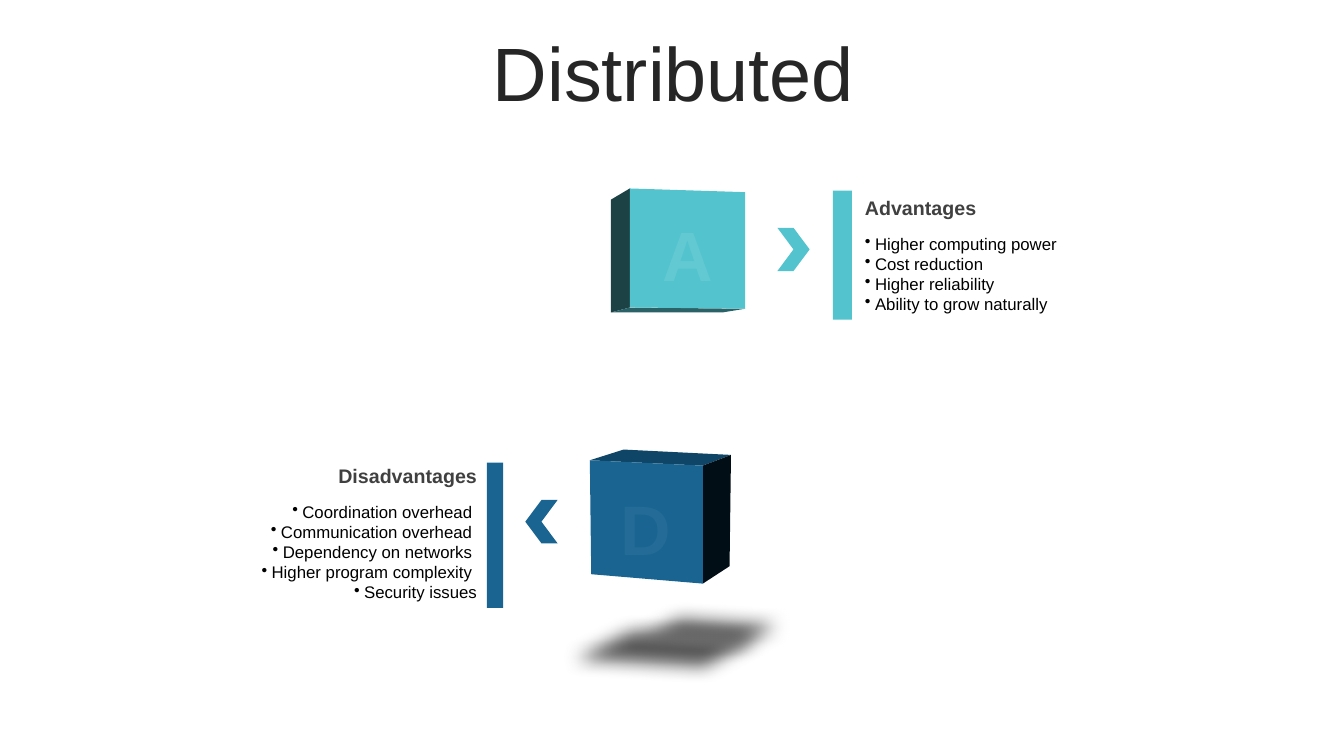
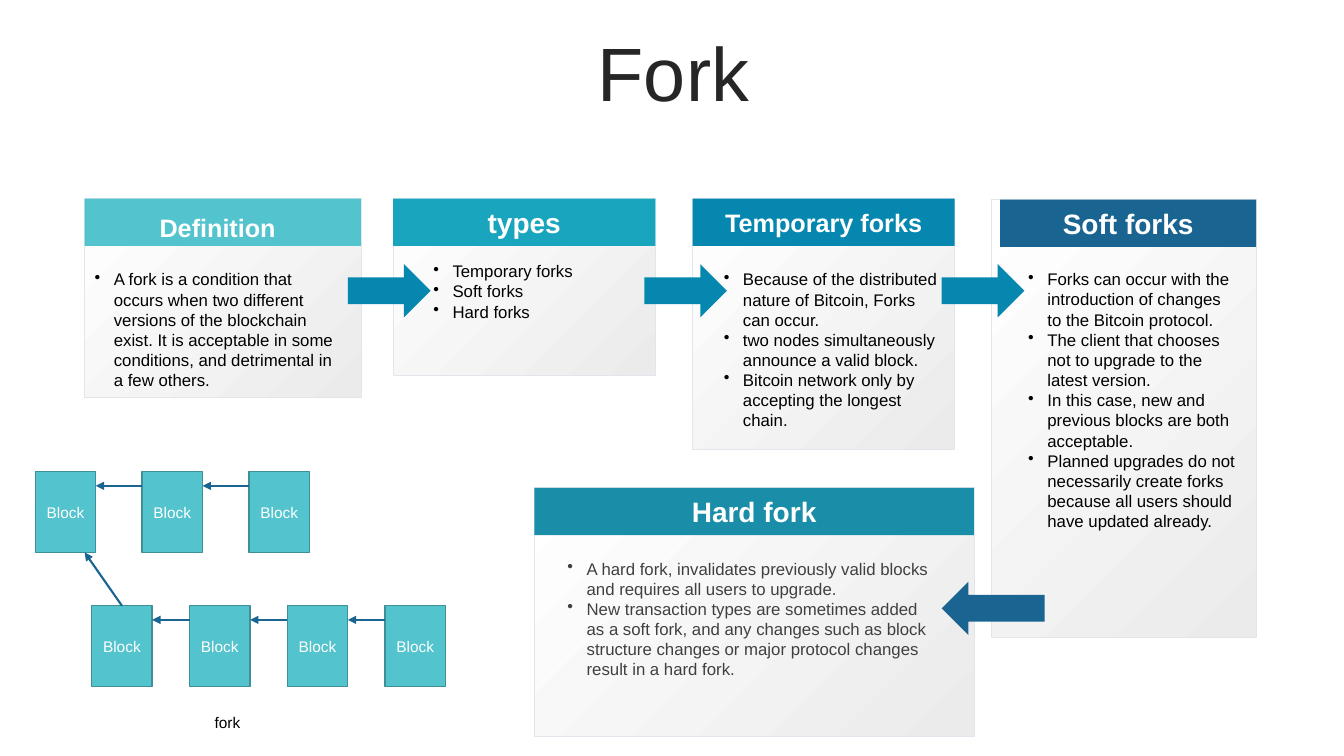
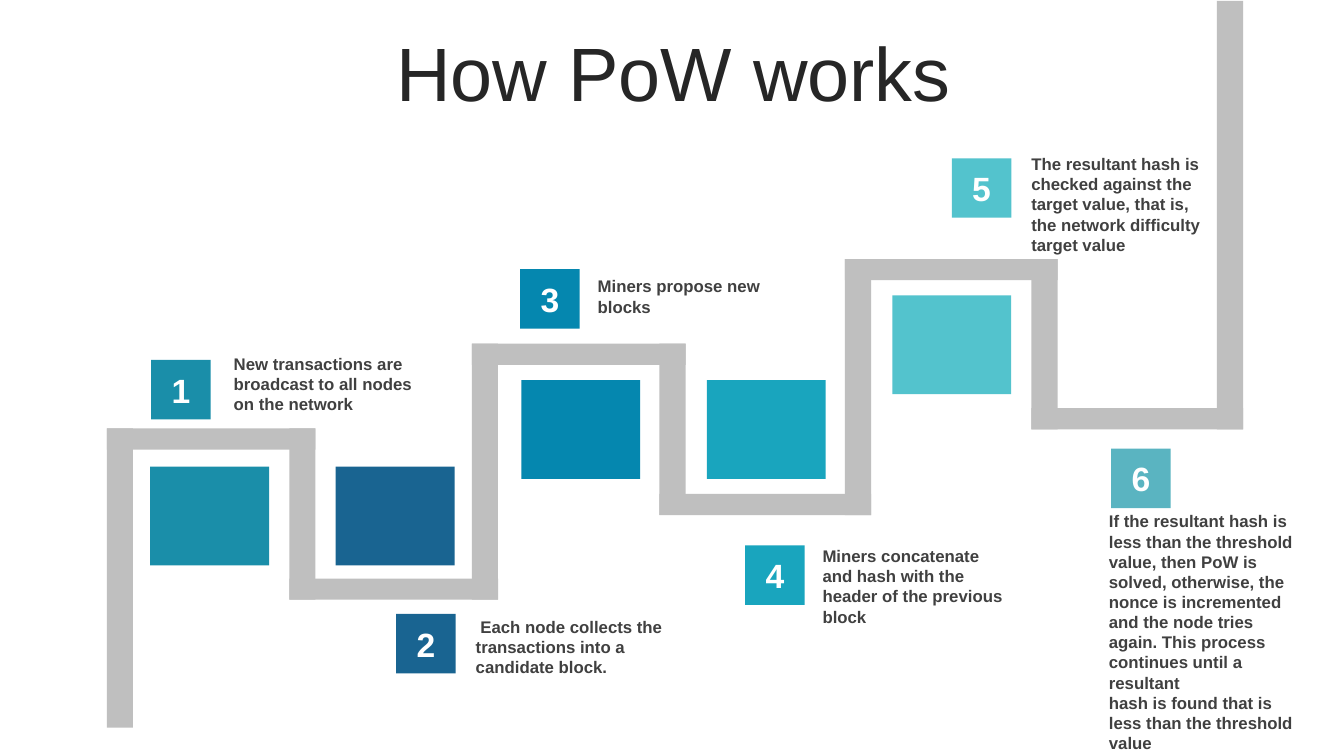
import lxml.etree
import pptx
import pptx.dml.color
import pptx.enum.shapes
import pptx.enum.text
import pptx.oxml.ns
import pptx.util

Inches = pptx.util.Inches
KIND = pptx.enum.shapes.MSO_SHAPE
ALIGN = pptx.enum.text.PP_ALIGN
ANCHOR = pptx.enum.text.MSO_ANCHOR

THEME = {
    "font": "Arial",
    "color": {
        "cyan": "53C3CD", "aqua": "19A5BE", "blue": "0587AF", "teal": "1A8EA9",
        "navy": "196491", "mist": "5AB4C1", "edge": "3D9098", "road": "BFBFBF",
        "rim": "E1E6ED", "light": "EBEBEB", "white": "FFFFFF", "shade": "595959",
        "ink": "262626", "gray": "404040", "black": "000000",
        "cyan side": "1C4245", "cyan base": "2A6268", "cyan mark": "62C9D2",
        "navy side": "020E16", "navy top": "0F4566", "navy mark": "246B97",
    },
    "text": {
        "title": (54, False, "ink"),
        "mark": (50, True, "white"),
        "digit": (24, True, "white"),
        "head": (20, True, "white"),
        "small head": (18, True, "white"),
        "label": (14, True, "gray"),
        "list": (12, False, "black"),
        "gray list": (12, False, "gray"),
        "note": (12, True, "gray"),
        "block": (11, False, "white"),
        "tag": (11, False, "black"),
    },
}


def tint(name):
    return pptx.dml.color.RGBColor.from_string(THEME["color"][name])


def put(thing, values):
    for name, value in values.items():
        setattr(thing, name, value)


def add(parent, tag, **values):
    return lxml.etree.SubElement(parent, pptx.oxml.ns.qn(tag), values)


def write(shape, lines, style, align=ALIGN.LEFT, frame=None, indent=0, color=None, space=1):
    size, bold, ink = THEME["text"][style]
    body = shape.text_frame
    put(body, {"word_wrap": True, "vertical_anchor": ANCHOR.MIDDLE, **(frame or {})})
    body.text = "\n".join(lines)
    for para in body.paragraphs:
        if indent:
            props = para._p.get_or_add_pPr()
            props.set("marL", str(Inches(indent)))
            props.set("indent", str(-Inches(indent)))
            add(props, "a:buChar", char="•")
        put(para, {"alignment": align, "line_spacing": space})
        put(para.font, {"name": THEME["font"], "size": pptx.util.Pt(size), "bold": bold})
        para.font.color.rgb = tint(color or ink)


def label(slide, box, lines, style, **format):
    write(slide.shapes.add_textbox(*map(Inches, box)), lines, style, **format)


def paint(shape, fill, line=None, width=1):
    shape.shadow.inherit = False
    shape.fill.solid()
    shape.fill.fore_color.rgb = tint(fill)
    if line:
        shape.line.color.rgb = tint(line)
        shape.line.width = pptx.util.Pt(width)
    else:
        shape.line.fill.background()
    return shape


def draw(slide, box, fill, kind=KIND.RECTANGLE, line=None, width=1):
    return paint(slide.shapes.add_shape(kind, *map(Inches, box)), fill, line, width)


def trace(slide, points, fill):
    spots = [(Inches(x), Inches(y)) for x, y in points]
    pen = slide.shapes.build_freeform(*spots[0])
    pen.add_line_segments(spots[1:], close=True)
    return paint(pen.convert_to_shape(), fill)


def arrow(slide, start, end):
    line = slide.shapes.add_connector(
        pptx.enum.shapes.MSO_CONNECTOR.STRAIGHT, *map(Inches, start + end))
    line.line.color.rgb = tint("navy")
    line.line.width = pptx.util.Pt(1.5)
    props = line._element.spPr
    add(props.find(pptx.oxml.ns.qn("a:ln")), "a:tailEnd", type="triangle")
    add(props, "a:effectLst")


def start(deck, title):
    slide = deck.slides.add_slide(deck.slide_layouts[6])
    label(slide, (0.35, 0.37, 12.66, 0.79), [title], "title", align=ALIGN.CENTER, space=0.9)
    return slide


def cube(slide, box, faces, letter, color):
    left, top, wide, high = box
    for fill, points in faces:
        face = trace(slide, [(left + x * wide, top + y * high) for x, y in points], fill)
    write(face, [letter], "mark", ALIGN.CENTER, color=color, frame={"margin_top": Inches(0.15)})


def shadow(slide, points):
    shape = trace(slide, points, "shade")
    glow = shape._element.spPr.find(pptx.oxml.ns.qn("a:effectLst"))
    add(glow, "a:softEdge", rad=str(pptx.util.Pt(12.5)))


def panel(slide, box, title, lines, align):
    left, top, wide, high = box
    label(slide, (left, top, wide, 0.34), [title], "label", align=align)
    label(slide, (left, top + 0.37, wide, high - 0.37), lines, "list", align=align, indent=0.1)


def card(slide, box, title, lines, fill, inner, style="head", inset=0, ink="list", frame=None):
    left, top, wide, high = box
    body = draw(slide, box, "white", line="rim", width=0.5)
    body.fill.gradient()
    body.fill.gradient_angle = 135
    for stop, color in zip(body.fill.gradient_stops, ("light", "white")):
        stop.color.rgb = tint(color)
    head = draw(slide, (left + inset, top, wide - inset, 0.47), fill)
    write(head, [title], style, ALIGN.CENTER, frame=frame)
    x, y, width, height = inner
    label(slide, (left + x, top + y, width, height), lines, ink, indent=0.19,
          frame={"vertical_anchor": ANCHOR.TOP})


def chain(slide, box, count, pitch):
    left, top, wide, high = box
    for i in range(count):
        x = left + i * pitch
        block = draw(slide, (x, top, wide, high), "cyan", line="edge")
        write(block, ["Block"], "block", ALIGN.CENTER)
        if i:
            arrow(slide, (x, top + 0.14), (x - pitch + wide, top + 0.14))


def road(slide, turns, levels, first, last):
    wide, thick = 0.26, 0.21
    for left, right, level in zip(turns, turns[1:], levels):
        draw(slide, (left, level, right - left + wide, thick), "road")
    stops = [first - thick, *levels, last]
    for x, one, two in zip(turns, stops, stops[1:]):
        draw(slide, (x, min(one, two), wide, abs(one - two) + thick), "road")


def step(slide, box, digit, fill, note, lines):
    write(draw(slide, box, fill), [digit], "digit", ALIGN.CENTER)
    x, y, wide, high = note
    label(slide, (box[0] + x, box[1] + y, wide, high), lines, "note")


def contrast(deck):
    slide = start(deck, "Distributed")
    shadow(slide, [(6.13, 6.07), (8.23, 6.2), (7.12, 6.8), (4.91, 6.67)])
    shadow(slide, [(6.61, 5.95), (8.45, 6.07), (7.48, 6.59), (5.54, 6.47)])
    cube(slide, (5.85, 4.46, 1.4, 1.33), [
        ("navy top", [(0, 0.08), (0.24, 0), (1, 0.04), (0.8, 0.12)]),
        ("navy side", [(0.8, 0.12), (1, 0.04), (0.99, 0.87), (0.8, 1)]),
        ("navy", [(0, 0.08), (0.8, 0.12), (0.8, 1), (0.01, 0.93)]),
    ], "D", "navy mark")
    cube(slide, (6.06, 1.87, 1.33, 1.23), [
        ("cyan side", [(0, 0.09), (0.14, 0), (0.14, 0.96), (0, 1)]),
        ("cyan base", [(0, 1), (0.14, 0.96), (1, 0.97), (0.83, 1)]),
        ("cyan", [(0.14, 0), (1, 0.03), (1, 0.97), (0.14, 0.96)]),
    ], "A", "cyan mark")
    panel(slide, (8.48, 1.89, 3.95, 1.28), "Advantages", [
        "Higher computing power", "Cost reduction", "Higher reliability",
        "Ability to grow naturally"], ALIGN.LEFT)
    panel(slide, (0.88, 4.55, 3.95, 1.48), "Disadvantages", [
        "Coordination overhead ", "Communication overhead ", "Dependency on networks ",
        "Higher program complexity ", "Security issues"], ALIGN.RIGHT)
    draw(slide, (8.26, 1.89, 0.19, 1.28), "cyan")
    draw(slide, (4.83, 4.59, 0.16, 1.44), "navy")
    draw(slide, (7.71, 2.26, 0.32, 0.43), "cyan", KIND.CHEVRON)
    draw(slide, (5.21, 4.96, 0.32, 0.43), "navy", KIND.CHEVRON).rotation = 180


def fork(deck):
    slide = start(deck, "Fork")
    card(slide, (0.84, 1.97, 2.74, 1.97), "Definition", [
        "A fork is a condition that occurs when two different versions of the blockchain "
        "exist. It is acceptable in some conditions, and detrimental in a few others.",
    ], "cyan", (0, 0.65, 2.61, 1.31), "small head",
        frame={"margin_top": Inches(0.16), "margin_right": Inches(0.2)})
    card(slide, (3.9, 1.97, 2.6, 1.75), "types", [
        "Temporary forks", "Soft forks", "Hard forks"], "aqua", (0.3, 0.57, 2, 0.71))
    card(slide, (6.87, 1.97, 2.6, 2.49), "Temporary forks", [
        "Because of the distributed nature of Bitcoin, Forks can occur.",
        "two nodes simultaneously announce a valid block.",
        "Bitcoin network only by accepting the longest chain.",
    ], "blue", (0.21, 0.65, 2.39, 1.72), "small head")
    card(slide, (9.83, 1.98, 2.63, 4.34), "Soft forks", [
        "Forks can occur with the introduction of changes to the Bitcoin protocol.",
        "The client that chooses not to upgrade to the latest version.",
        "In this case, new and previous blocks are both acceptable.",
        "Planned upgrades do not necessarily create forks because all users should "
        "have updated already.",
    ], "navy", (0.27, 0.64, 2.26, 2.73), inset=0.09)
    card(slide, (5.3, 4.84, 4.36, 2.47), "Hard fork", [
        "A hard fork, invalidates previously valid blocks and requires all users to upgrade.",
        "New transaction types are sometimes added as a soft fork, and any changes such as "
        "block structure changes or major protocol changes result in a hard fork.",
    ], "teal", (0.23, 0.65, 3.89, 1.31), ink="gray list")
    for x in (3.45, 6.39, 9.34):
        draw(slide, (x, 2.62, 0.82, 0.53), "blue", KIND.RIGHT_ARROW)
    draw(slide, (9.34, 5.77, 1.02, 0.53), "navy", KIND.LEFT_ARROW)
    chain(slide, (0.35, 4.68, 0.6, 0.8), 3, 1.06)
    chain(slide, (0.91, 6.01, 0.6, 0.8), 4, 0.97)
    arrow(slide, (1.21, 6.01), (0.84, 5.48))
    label(slide, (2.03, 7.02, 0.46, 0.29), ["fork"], "tag", frame={"word_wrap": False})


def proof(deck):
    slide = start(deck, "How PoW works")
    road(slide, [1.06, 2.87, 4.68, 6.54, 8.38, 10.23, 12.07],
         [4.25, 5.74, 3.41, 4.9, 2.57, 4.05], 7.22, 0.01)
    tiles = [("teal", 4.63), ("navy", 4.63), ("blue", 3.77), ("aqua", 3.77), ("cyan", 2.93)]
    for i, (fill, top) in enumerate(tiles):
        draw(slide, (1.49 + 1.84 * i, top, 1.18, 0.98), fill)
    steps = [
        (1.5, 3.57, "teal", (0.72, -0.12, 2.07, 0.71),
         ["New transactions are broadcast to all nodes on the network"]),
        (3.93, 6.09, "navy", (0.69, -0.03, 2.07, 0.71),
         [" Each node collects the transactions into a candidate block."]),
        (5.16, 2.67, "blue", (0.67, 0.02, 2.07, 0.5), ["Miners propose new blocks"]),
        (7.39, 5.41, "aqua", (0.67, -0.05, 2.07, 0.91),
         ["Miners concatenate and hash with the header of the previous block"]),
        (9.44, 1.57, "cyan", (0.69, -0.1, 1.98, 1.11),
         ["The resultant hash is checked against the target value, that is, "
          "the network difficulty", "target value"]),
        (11.02, 4.45, "mist", (-0.12, 0.56, 2.07, 2.52),
         ["If the resultant hash is less than the threshold value, then PoW is solved, "
          "otherwise, the",
          "nonce is incremented and the node tries again. This process continues until "
          "a resultant",
          "hash is found that is less than the threshold value"]),
    ]
    for i, (left, top, fill, note, lines) in enumerate(steps, 1):
        step(slide, (left, top, 0.59, 0.59), str(i), fill, note, lines)


def main():
    deck = pptx.Presentation()
    put(deck, {"slide_width": Inches(13.33), "slide_height": Inches(7.5)})
    for build in (contrast, fork, proof):
        build(deck)
    deck.save("out.pptx")


if __name__ == "__main__":
    main()
